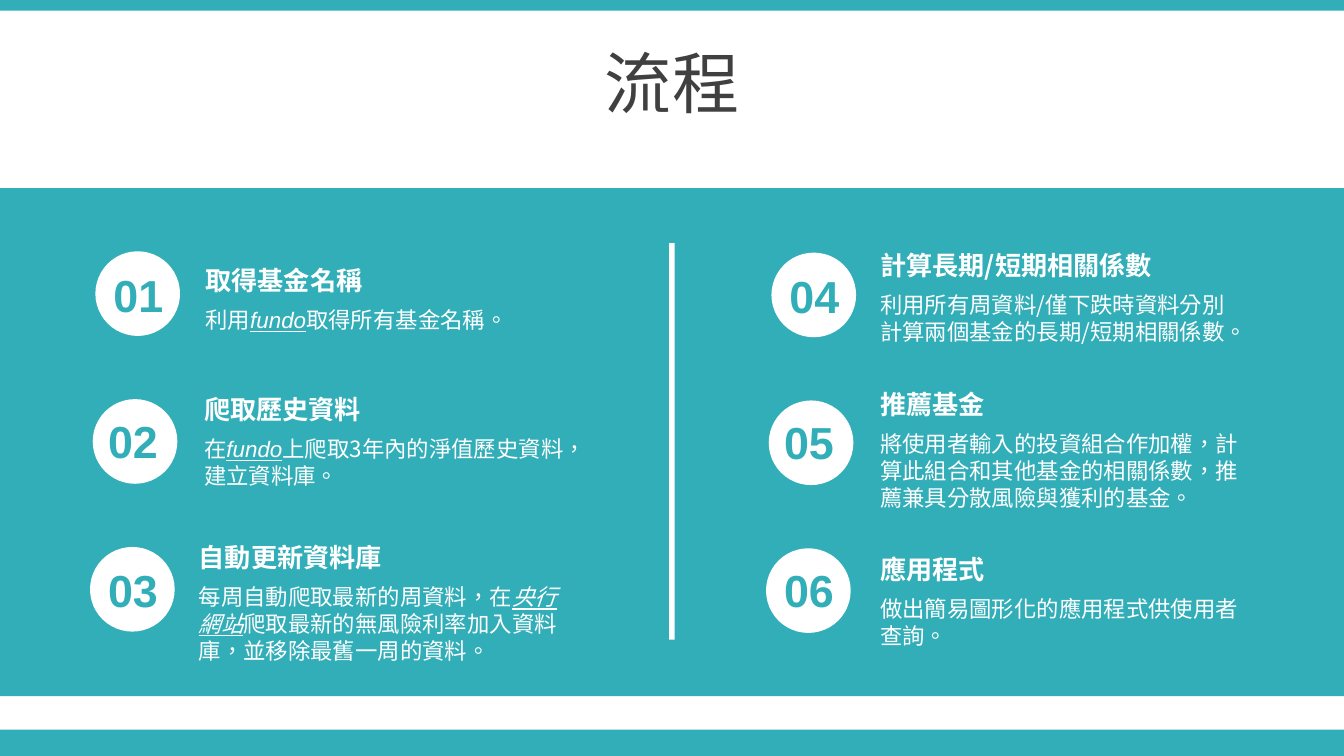
from lxml import etree
from pptx import Presentation
from pptx.dml.color import RGBColor
from pptx.enum import shapes, text
from pptx.oxml import ns
from pptx.util import Inches, Pt

COLORS = {"teal": "32AEB8", "white": "FFFFFF", "title": "404040"}
CJK = "Noto Sans CJK KR"
LATIN = "Arial"
CIRCLE = 0.63
CIRCLE_STEP = (-0.02, 1.1)

COLUMNS = [
    {"circle": (0.71, 1.87), "steps": [
        ("01", (0.68, 1.94), (1.43, 1.92), 0.3, "取得基金名稱",
         [("利用", CJK, False), ("fundo", LATIN, True), ("取得所有基金名稱。", CJK, False)]),
        ("02", (0.64, 3.03), (1.42, 2.88), 0.5, "爬取歷史資料",
         [("在", CJK, False), ("fundo", LATIN, True),
          ("上爬取3年內的淨值歷史資料，建立資料庫。", CJK, False)]),
        ("03", (0.64, 4.14), (1.38, 3.98), 0.71, "自動更新資料庫",
         [("每周自動爬取最新的周資料，在", CJK, False), ("央行網站", CJK, True),
          ("爬取最新的無風險利率加入資料庫，並移除最舊一周的資料。", CJK, False)]),
    ]},
    {"circle": (5.74, 1.88), "steps": [
        ("04", (5.71, 1.95), (6.45, 1.81), 0.5, "計算長期/短期相關係數",
         [("利用所有周資料/僅下跌時資料分別計算兩個基金的長期/短期相關係數。", CJK, False)]),
        ("05", (5.67, 3.04), (6.45, 2.84), 0.71, "推薦基金",
         [("將使用者輸入的投資組合作加權，計算此組合和其他基金的相關係數，推薦兼具分散風險與獲利的基金。",
           CJK, False)]),
        ("06", (5.67, 4.14), (6.45, 4.07), 0.5, "應用程式",
         [("做出簡易圖形化的應用程式供使用者查詢。", CJK, False)]),
    ]},
]


def add_filled(page, kind, left, top, width, height, color):
    shape = page.shapes.add_shape(
        kind, Inches(left), Inches(top), Inches(width), Inches(height))
    shape.shadow.inherit = False
    shape.fill.solid()
    shape.fill.fore_color.rgb = RGBColor.from_string(COLORS[color])
    shape.line.fill.background()


def add_span(para, words, size, color, face=CJK, bold=False, linked=False):
    span = para.add_run()
    span.text = words
    font = span.font
    font.size = Pt(size)
    font.bold = bold
    font.italic = linked
    font.underline = linked
    font.color.rgb = RGBColor.from_string(COLORS[color])
    font.name = face
    properties = span._r.get_or_add_rPr()
    properties.set("lang", "zh-TW")
    east_asian = etree.Element(ns.qn("a:ea"), typeface=CJK)
    properties.find(ns.qn("a:latin")).addnext(east_asian)


def add_text_box(page, left, top, width, height):
    box = page.shapes.add_textbox(
        Inches(left), Inches(top), Inches(width), Inches(height))
    box.text_frame.word_wrap = True
    box.text_frame.auto_size = text.MSO_AUTO_SIZE.SHAPE_TO_FIT_TEXT
    return box.text_frame.paragraphs[0]


def add_title(page, words):
    title = page.shapes.title
    title.left, title.top = Inches(0), Inches(0.29)
    title.width, title.height = Inches(10), Inches(0.63)
    title.text_frame.vertical_anchor = text.MSO_ANCHOR.MIDDLE
    para = title.text_frame.paragraphs[0]
    para.alignment = text.PP_ALIGN.CENTER
    add_span(para, words, 36, "title")


def add_step(page, number, number_at, heading_at, height, heading, details):
    left, top = heading_at
    para = add_text_box(page, left, top + 0.31, 2.91, height)
    for words, face, linked in details:
        add_span(para, words, 12, "white", face, linked=linked)
    para = add_text_box(page, left, top, 2.91, 0.34)
    add_span(para, heading, 14, "white", bold=True)
    para = add_text_box(page, *number_at, 0.7, 0.5)
    para.alignment = text.PP_ALIGN.CENTER
    add_span(para, number, 24, "teal", LATIN, bold=True)


def main():
    deck = Presentation()
    deck.slide_width = Inches(10)
    deck.slide_height = Inches(10 * 9 / 16)
    page = deck.slides.add_slide(deck.slide_layouts[5])
    rectangle, oval = shapes.MSO_SHAPE.RECTANGLE, shapes.MSO_SHAPE.OVAL

    for top, height in ((5.43, 0.2), (0, 0.08), (1.4, 3.78)):
        add_filled(page, rectangle, 0, top, 10, height, "teal")
    add_title(page, "流程")
    add_filled(page, rectangle, 4.98, 1.81, 0.04, 2.95, "white")

    for column in COLUMNS:
        left, top = column["circle"]
        for row, step in enumerate(column["steps"]):
            add_filled(page, oval, left + row * CIRCLE_STEP[0],
                       top + row * CIRCLE_STEP[1], CIRCLE, CIRCLE, "white")
            add_step(page, *step)

    deck.save("out.pptx")


if __name__ == "__main__":
    main()
